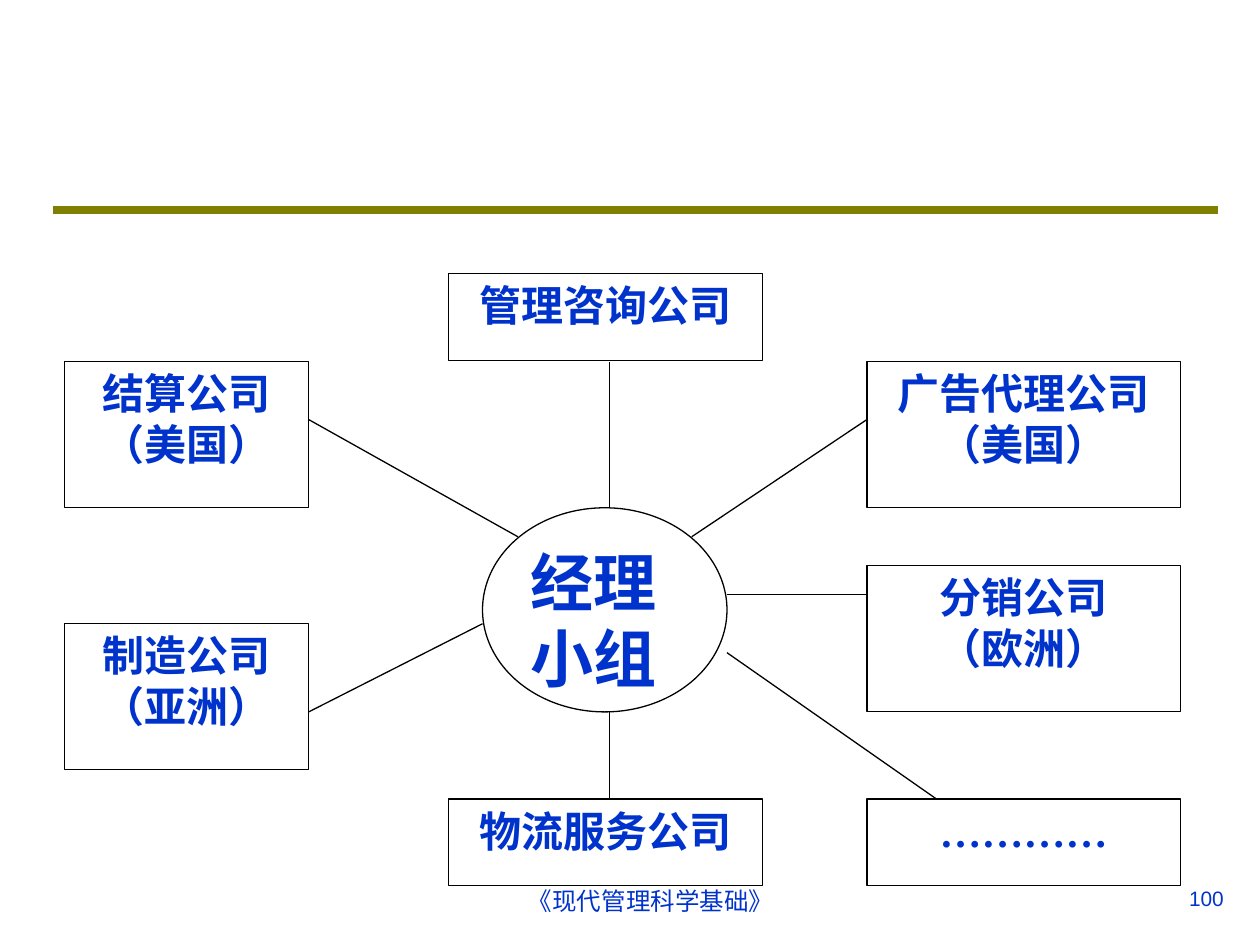
from lxml import etree
from pptx import Presentation
from pptx.dml.color import RGBColor
from pptx.enum.shapes import MSO_CONNECTOR, MSO_SHAPE
from pptx.enum.text import MSO_ANCHOR, PP_ALIGN
from pptx.oxml.ns import qn
from pptx.util import Inches, Pt

RECTANGLE, OVAL = MSO_SHAPE.RECTANGLE, MSO_SHAPE.OVAL
STRAIGHT = MSO_CONNECTOR.STRAIGHT
TOP = MSO_ANCHOR.TOP
CENTER, RIGHT, JUSTIFY = PP_ALIGN.CENTER, PP_ALIGN.RIGHT, PP_ALIGN.JUSTIFY
BLUE = RGBColor(0x00, 0x33, 0xCC)
OLIVE = RGBColor(0x80, 0x80, 0x00)
BLACK = RGBColor(0x00, 0x00, 0x00)
WHITE = RGBColor(0xFF, 0xFF, 0xFF)

LEFT_COL, MIDDLE_COL, RIGHT_COL = (0.51, 1.94), (3.56, 2.49), (6.88, 2.49)
ONE_LINE, TWO_LINES = 0.69, 1.16
HUB_TEXT = ["经理", "小组"]
HUB_PLACE = (3.83, 4.03, 1.94, 1.62)
COMPANIES = [
    (["管理咨询公司"], MIDDLE_COL, 2.17),
    (["…………"], RIGHT_COL, 6.34),
    (["物流服务公司"], MIDDLE_COL, 6.34),
    (["结算公司", "（美国）"], LEFT_COL, 2.87),
    (["制造公司", "（亚洲）"], LEFT_COL, 4.95),
    (["广告代理公司", "（美国）"], RIGHT_COL, 2.87),
    (["分销公司", "（欧洲）"], RIGHT_COL, 4.49),
]
SPOKES = [
    (4.84, 4.03, 4.84, 2.87),
    (2.45, 3.33, 4.11, 4.26),
    (2.45, 5.65, 3.83, 4.95),
    (4.84, 5.65, 4.84, 6.34),
    (5.77, 5.18, 7.43, 6.34),
    (5.77, 4.72, 6.88, 4.72),
    (5.49, 4.26, 6.88, 3.33),
]
PAGE_NUMBER = "100"
BOOK_TITLE = "《现代管理科学基础》"


def write(holder, lines, size, font="Times New Roman", bold=False, align=CENTER):
    frame = holder.text_frame
    frame.word_wrap = True
    frame.vertical_anchor = TOP
    for index, line in enumerate(lines):
        paragraph = frame.add_paragraph() if index else frame.paragraphs[0]
        paragraph.alignment = align
        run = paragraph.add_run()
        run.text = line
        run.font.name = font
        run.font.size = Pt(size)
        run.font.bold = bold
        run.font.color.rgb = BLUE


def add_node(slide, preset, place, lines, size, align=CENTER):
    node = slide.shapes.add_shape(preset, *map(Inches, place))
    node.shadow.inherit = False
    node.fill.solid()
    node.fill.fore_color.rgb = WHITE
    node.line.color.rgb = BLACK
    node.line.width = Pt(0.75)
    write(node, lines, size, bold=True, align=align)


def add_line(slide, ends, color=BLACK, width=0.75):
    line = slide.shapes.add_connector(STRAIGHT, *map(Inches, ends))
    line.line.color.rgb = color
    line.line.width = Pt(width)
    etree.SubElement(line._element.spPr, qn("a:effectLst"))


def add_footer(slide, place, text, size, align):
    footer = slide.shapes.add_textbox(*map(Inches, place))
    write(footer, [text], size, font="Arial", align=align)


def main():
    deck = Presentation()
    deck.slide_width, deck.slide_height = Inches(10), Inches(7.5)
    slide = deck.slides.add_slide(deck.slide_layouts[6])

    add_line(slide, (0.42, 1.67, 9.67, 1.67), OLIVE, 4.5)
    add_node(slide, OVAL, HUB_PLACE, HUB_TEXT, 36, JUSTIFY)
    for lines, (left, width), top in COMPANIES:
        height = ONE_LINE if len(lines) == 1 else TWO_LINES
        add_node(slide, RECTANGLE, (left, top, width, height), lines, 24)
    for ends in SPOKES:
        add_line(slide, ends)

    add_footer(slide, (8.47, 6.98, 1.34, 0.31), PAGE_NUMBER, 11.9, RIGHT)
    add_footer(slide, (3.58, 6.98, 3.17, 0.52), BOOK_TITLE, 14, CENTER)
    deck.save("out.pptx")


if __name__ == "__main__":
    main()
